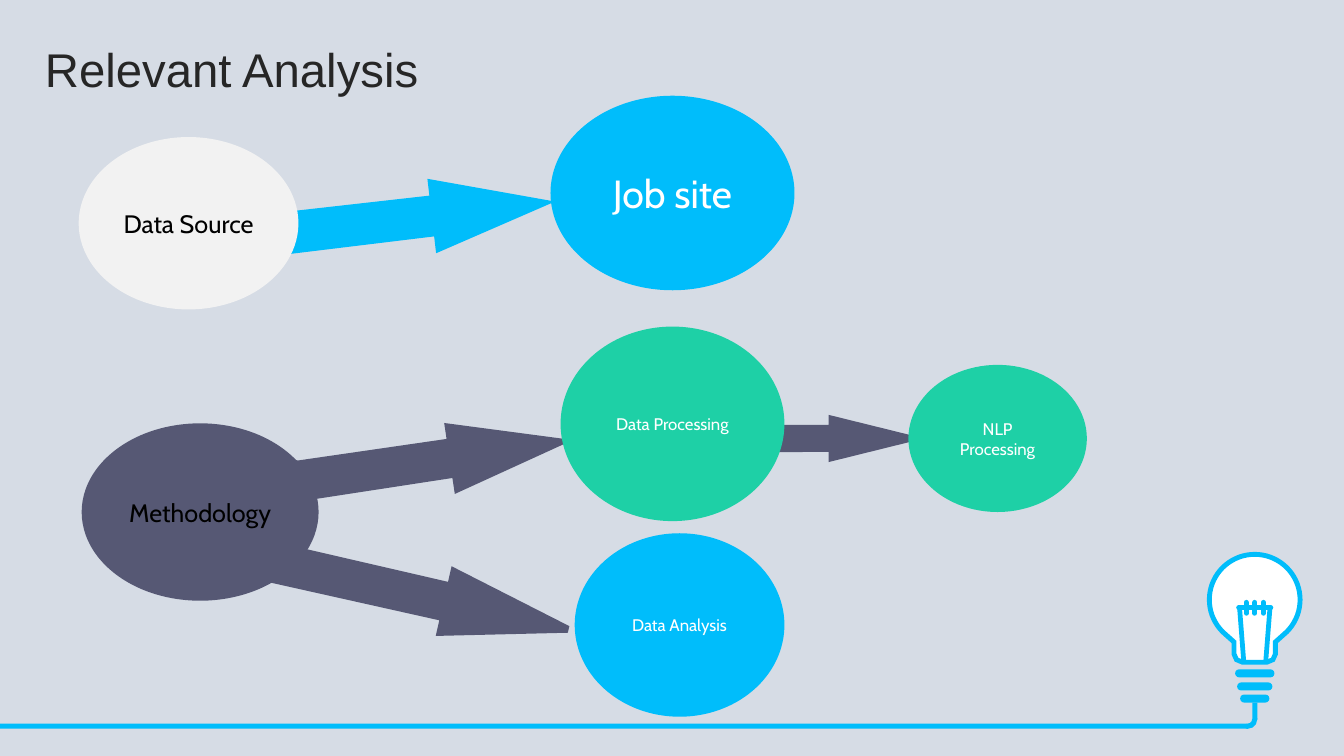
from math import cos, radians, sin
from lxml.etree import SubElement
from pptx import Presentation
from pptx.dml.color import RGBColor
from pptx.enum.shapes import MSO_CONNECTOR, MSO_SHAPE
from pptx.enum.text import MSO_ANCHOR, MSO_AUTO_SIZE, PP_ALIGN
from pptx.oxml.ns import qn
from pptx.util import Inches, Pt

CELL = Inches(0.1)
SKY, SLATE, GREEN = "00BDFB", "565874", "1ED0A6"
WHITE, BLACK, PALE = "FFFFFF", "000000", "F2F2F2"


def paint(shape, fill, line_width=0, line_color=SKY):
    shape.shadow.inherit = False
    shape.fill.solid()
    shape.fill.fore_color.rgb = RGBColor.from_string(fill)
    if line_width:
        shape.line.width = Pt(line_width)
        shape.line.color.rgb = RGBColor.from_string(line_color)
        SubElement(shape.line._get_or_add_ln(), qn("a:miter"), lim="800000")
    else:
        shape.line.fill.background()


def write(shape, text, **format_values):
    frame = shape.text_frame
    frame.word_wrap = True
    frame.auto_size = MSO_AUTO_SIZE.NONE
    frame.vertical_anchor = MSO_ANCHOR.MIDDLE
    para = frame.paragraphs[0]
    para.alignment = PP_ALIGN.CENTER
    span = para.add_run()
    span.text = text
    span.font.color.rgb = RGBColor.from_string(format_values.pop("color"))
    for name, value in format_values.items():
        setattr(span.font, name, value)
    return para


deck = Presentation()
deck.slide_width, deck.slide_height = Inches(13.33), Inches(7.5)
page = deck.slides.add_slide(deck.slide_layouts[5])
page.background.fill.solid()
page.background.fill.fore_color.rgb = RGBColor.from_string("D6DCE5")
shapes = page.shapes

title = shapes.title
title_place = {"left": 2.3, "top": 4, "width": 41.4, "height": 7}
for name, cells in title_place.items():
    setattr(title, name, int(cells * CELL))
title_para = write(title, "Relevant Analysis", size=Pt(33.8), name="Arial", color="262626")
title_para.line_spacing = 0.7
title_para.space_before = Pt(0)

bulb_x, bulb_y, bulb_radius = 124.45, 59.5, 4.5
glass = [(bulb_x + bulb_radius * cos(radians(angle)), bulb_y + bulb_radius * sin(radians(angle)))
         for angle in range(135, 406, 5)]
right_neck = [(2.05, 63.7), (2.05, 64.9), (1.8, 65.45), (1.2, 65.7)]
neck = [(bulb_x + offset, y) for offset, y in right_neck]
neck += [(bulb_x - offset, y) for offset, y in reversed(right_neck)]
outline = [(x * CELL, y * CELL) for x, y in glass + neck]
builder = shapes.build_freeform(*outline[0], scale=1.0)
builder.add_line_segments(outline[1:], close=True)
paint(builder.convert_to_shape(), WHITE, 3.5)

filament = [(-1.6, 60.3, 1.6, 60.3), (-1.5, 60.4, -1.1, 65.5), (1.5, 60.4, 1.1, 65.5)]
filament += [(offset, 59.75, offset, 60.85) for offset in (-0.85, 0, 0.85)]
for start_x, start_y, end_x, end_y in filament:
    wire = shapes.add_connector(
        MSO_CONNECTOR.STRAIGHT, int((bulb_x + start_x) * CELL), int(start_y * CELL),
        int((bulb_x + end_x) * CELL), int(end_y * CELL))
    wire.line.width = Pt(3.4)
    wire.line.color.rgb = RGBColor.from_string(SKY)
    wire.line._get_or_add_ln().set("cap", "rnd")
    SubElement(wire._element.spPr, qn("a:effectLst"))

cord = [
    (MSO_SHAPE.ROUNDED_RECTANGLE, (122.5, 66.4, 3.9, 0.8), [0.5]),
    (MSO_SHAPE.ROUNDED_RECTANGLE, (122.7, 67.7, 3.5, 0.8), [0.5]),
    (MSO_SHAPE.ROUNDED_RECTANGLE, (123, 68.9, 2.9, 0.8), [0.5]),
    (MSO_SHAPE.RECTANGLE, (0, 71.8, 123.7, 0.5), []),
    (MSO_SHAPE.RECTANGLE, (124.2, 69.7, 0.5, 1.7), []),
    (MSO_SHAPE.BLOCK_ARC, (122.8, 70.4, 1.9, 1.9), [213.394, 60.915, 0.271]),
]
for kind, place, adjustments in cord:
    part = shapes.add_shape(kind, *(int(cells * CELL) for cells in place))
    for index, value in enumerate(adjustments):
        part.adjustments[index] = value
    paint(part, SKY)

arrows = [
    (60.7, 41.6, 29.5, 3.8, 0, SLATE),
    (9.7, 54.1, 47.2, 6.2, 12.8, SLATE),
    (14.4, 43.8, 41.4, 6.2, -8.5, SLATE),
    (12.6, 19.3, 41.4, 6.5, -6.7, SKY),
]
tail = [(0.21 + 0.21 * cos(radians(angle)), 0.5 + 0.42 * sin(radians(angle)))
        for angle in range(40, 321, 10)]
head = [(0.74, 0.24), (0.74, 0), (1, 0.5), (0.74, 1), (0.74, 0.76)]
for left, top, width, height, turn, color in arrows:
    outline = [((left + x * width) * CELL, (top + y * height) * CELL) for x, y in tail + head]
    builder = shapes.build_freeform(*outline[0], scale=1.0)
    builder.add_line_segments(outline[1:], close=True)
    arrow = builder.convert_to_shape()
    arrow.rotation = turn
    paint(arrow, color, 5, color)

bubbles = [
    ("Job site", (54.6, 9.5, 24.2, 19.3), SKY, 28, WHITE),
    ("Methodology", (8.1, 42, 23.5, 17.6), SLATE, 18, BLACK),
    ("Data Processing", (55.6, 32.4, 22.2, 19.3), GREEN, 12, WHITE),
    ("Data Analysis", (57, 52.9, 20.8, 18.2), SKY, 12, WHITE),
    ("Data Source", (7.8, 13.6, 21.8, 17.1), PALE, 18, BLACK),
    ("NLP Processing", (90.1, 36.2, 17.7, 14.6), GREEN, 12, WHITE),
]
for text, place, fill, size, color in bubbles:
    bubble = shapes.add_shape(MSO_SHAPE.OVAL, *(int(cells * CELL) for cells in place))
    paint(bubble, fill)
    write(bubble, text, size=Pt(size), name="Cabin", color=color)

deck.save("out.pptx")
